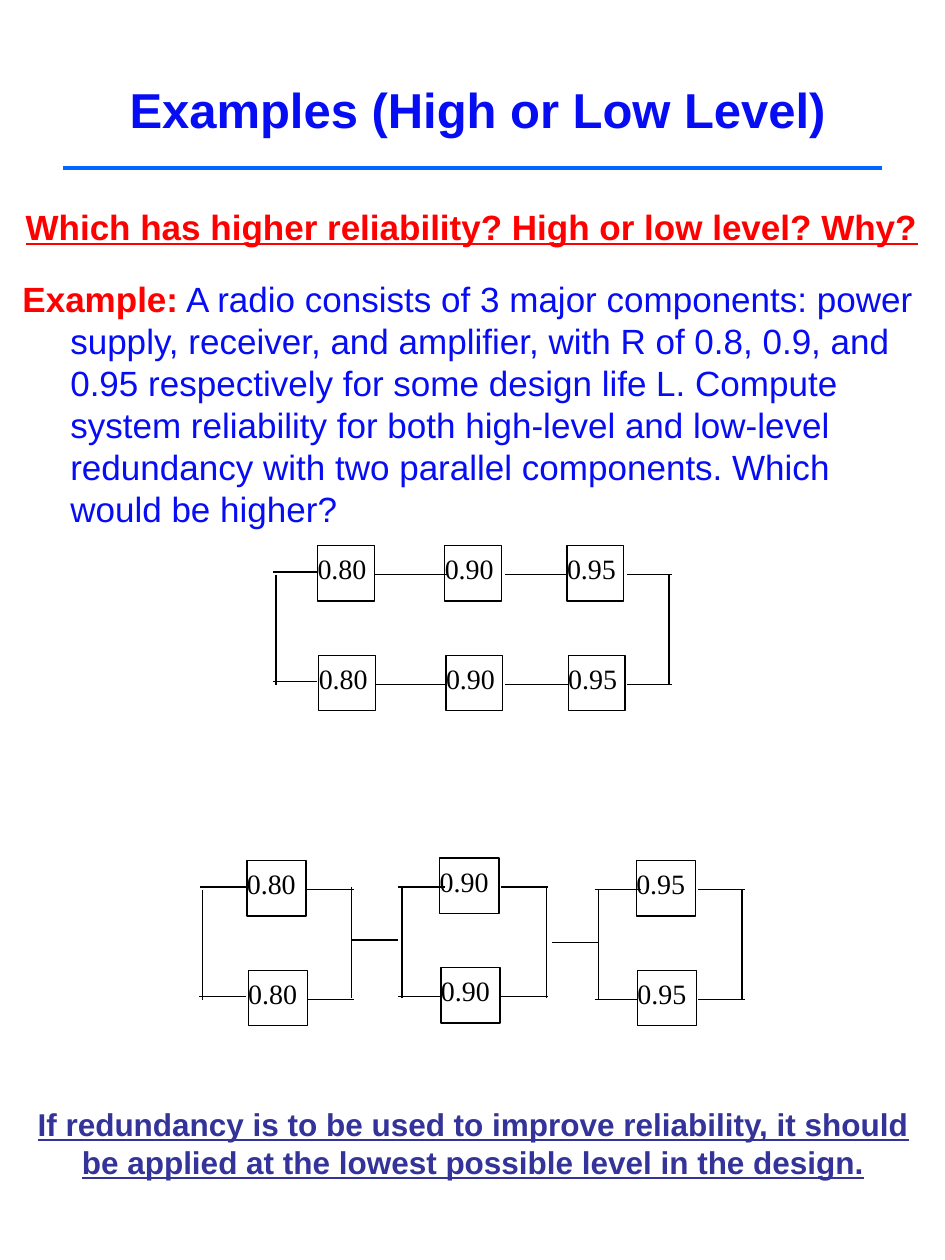
import pptx
import pptx.util
import pptx.dml.color
import pptx.enum.shapes
import pptx.enum.text
import lxml.etree

Inches, Pt = pptx.util.Inches, pptx.util.Pt
RGBColor = pptx.dml.color.RGBColor
ALIGN = pptx.enum.text.PP_ALIGN
ANCHOR = pptx.enum.text.MSO_ANCHOR

BLUE = RGBColor(0x07, 0x0D, 0xF3)
RULE_BLUE = RGBColor(0x00, 0x66, 0xFF)
RED = RGBColor(0xFF, 0x00, 0x00)
INDIGO = RGBColor(0x33, 0x33, 0x99)
BLACK = RGBColor(0x00, 0x00, 0x00)
WHITE = RGBColor(0xFF, 0xFF, 0xFF)

TITLE = "Examples (High or Low Level)"
QUESTION = "Which has higher reliability? High or low level? Why?"
EXAMPLE_LABEL = "Example:"
EXAMPLE = (
    " A radio consists of 3 major components: power supply, receiver, and amplifier, "
    "with R of 0.8, 0.9, and 0.95 respectively for some design life L. Compute system "
    "reliability for both high-level and low-level redundancy with two parallel "
    "components. Which would be higher?"
)
CONCLUSION = (
    "If redundancy is to be used to improve reliability, it should be applied "
    "at the lowest possible level in the design."
)

# Stage: reliability, upper wire x, lower wire x, box x, exit wire x, top, entry wire rise
DIAGRAMS = [
    {
        "box_width": 0.47,
        "wire": 0.37,
        "stages": [
            ("0.80", 1.59, 1.58, 1.96, 2.44, 6.83, 0.02),
            ("0.95", 4.72, 4.72, 5.05, 5.54, 6.83, 0),
            ("0.90", 3.16, 3.16, 3.49, 3.98, 6.81, 0),
        ],
        "posts": [(1.61, 6.83), (2.79, 6.81), (3.19, 6.81),
                  (4.34, 6.81), (4.75, 6.83), (5.89, 6.83)],
        "bridges": [(2.79, 7.46), (4.38, 7.48)],
    },
    {
        "box_width": 0.45,
        "wire": 0.35,
        "stages": [
            ("0.80", 2.17, 2.17, 2.52, 2.98, 4.33, 0.02),
            ("0.95", 4.15, 4.28, 4.5, 4.98, 4.33, 0),
            ("0.90", 3.2, 3.28, 3.53, 4.01, 4.33, 0),
        ],
        "posts": [(2.19, 4.33), (5.31, 4.33)],
        "bridges": [],
    },
]
BOX_HEIGHT = 0.44
ROW_GAP = 0.87
WIRE_DROP = 0.23
POST_HEIGHT = 0.88


def add_line(shapes, x1, y1, x2, y2, color=BLACK, width=0.75):
    line = shapes.add_connector(
        pptx.enum.shapes.MSO_CONNECTOR.STRAIGHT,
        Inches(x1), Inches(y1), Inches(x2), Inches(y2))
    line.line.color.rgb = color
    line.line.width = Pt(width)
    lxml.etree.SubElement(
        line._element.spPr, pptx.oxml.ns.qn("a:effectLst"))


def style_run(run, size, color, bold=False, underline=False, font="Arial"):
    run.font.name = font
    run.font.size = Pt(size)
    run.font.color.rgb = color
    run.font.bold = bold
    run.font.underline = underline


def add_text(shapes, left, top, width, height, text, size, color,
             underline=False, anchor=ANCHOR.TOP):
    frame = shapes.add_textbox(
        Inches(left), Inches(top), Inches(width), Inches(height)).text_frame
    frame.word_wrap = True
    frame.vertical_anchor = anchor
    frame.text = text
    paragraph = frame.paragraphs[0]
    paragraph.alignment = ALIGN.CENTER
    style_run(paragraph.runs[0], size, color, True, underline)
    return frame


def add_component(shapes, reliability, left, top, width):
    component = shapes.add_shape(
        pptx.enum.shapes.MSO_SHAPE.RECTANGLE,
        Inches(left), Inches(top), Inches(width), Inches(BOX_HEIGHT))
    component.shadow.inherit = False
    component.fill.solid()
    component.fill.fore_color.rgb = WHITE
    component.line.color.rgb = BLACK
    component.line.width = Pt(0.75)
    frame = component.text_frame
    frame.margin_left = frame.margin_right = 0
    frame.vertical_anchor = ANCHOR.TOP
    frame.text = reliability
    frame.paragraphs[0].alignment = ALIGN.LEFT
    style_run(frame.paragraphs[0].runs[0], 16, BLACK, font="Times New Roman")


def add_diagram(slide, diagram):
    shapes = slide.shapes.add_group_shape().shapes
    width, wire = diagram["box_width"], diagram["wire"]
    for reliability, upper, lower, box, exit_x, top, rise in diagram["stages"]:
        add_component(shapes, reliability, box, top, width)
        for row, entry in enumerate((upper, lower)):
            y = top + row * ROW_GAP + WIRE_DROP
            add_line(shapes, entry, y - rise, entry + wire, y - rise)
            add_line(shapes, exit_x, y, exit_x + wire, y)
        add_component(shapes, reliability, box + 0.01, top + ROW_GAP, width)
    for x, top in diagram["posts"]:
        y = top + WIRE_DROP
        add_line(shapes, x, y, x, y + POST_HEIGHT)
    for x, y in diagram["bridges"]:
        add_line(shapes, x, y, x + wire, y)


def main():
    deck = pptx.Presentation()
    deck.slide_width, deck.slide_height = Inches(7.5), Inches(10)
    slide = deck.slides.add_slide(deck.slide_layouts[6])
    shapes = slide.shapes

    add_line(shapes, 0.5, 1.33, 7, 1.33, RULE_BLUE, 2.25)
    add_text(shapes, 0.58, 0.4, 6.42, 0.93, TITLE, 28, BLUE, anchor=ANCHOR.MIDDLE)

    body = add_text(shapes, 0.08, 1.58, 7.33, 7.58, QUESTION, 20, RED, True)
    body.paragraphs[0].space_before = Pt(5)
    example = body.add_paragraph()
    example.space_before = Pt(17)
    indent = example._p.get_or_add_pPr()
    indent.set("marL", str(Inches(0.38)))
    indent.set("indent", str(-Inches(0.38)))
    for text, color, bold in ((EXAMPLE_LABEL, RED, True), (EXAMPLE, BLUE, False)):
        run = example.add_run()
        run.text = text
        style_run(run, 20, color, bold)

    for diagram in DIAGRAMS:
        add_diagram(slide, diagram)

    conclusion = add_text(shapes, 0.17, 8.72, 7.17, 0.7, CONCLUSION, 18, INDIGO, True)
    conclusion.paragraphs[0].space_before = Pt(4.5)
    deck.save("out.pptx")


if __name__ == "__main__":
    main()
